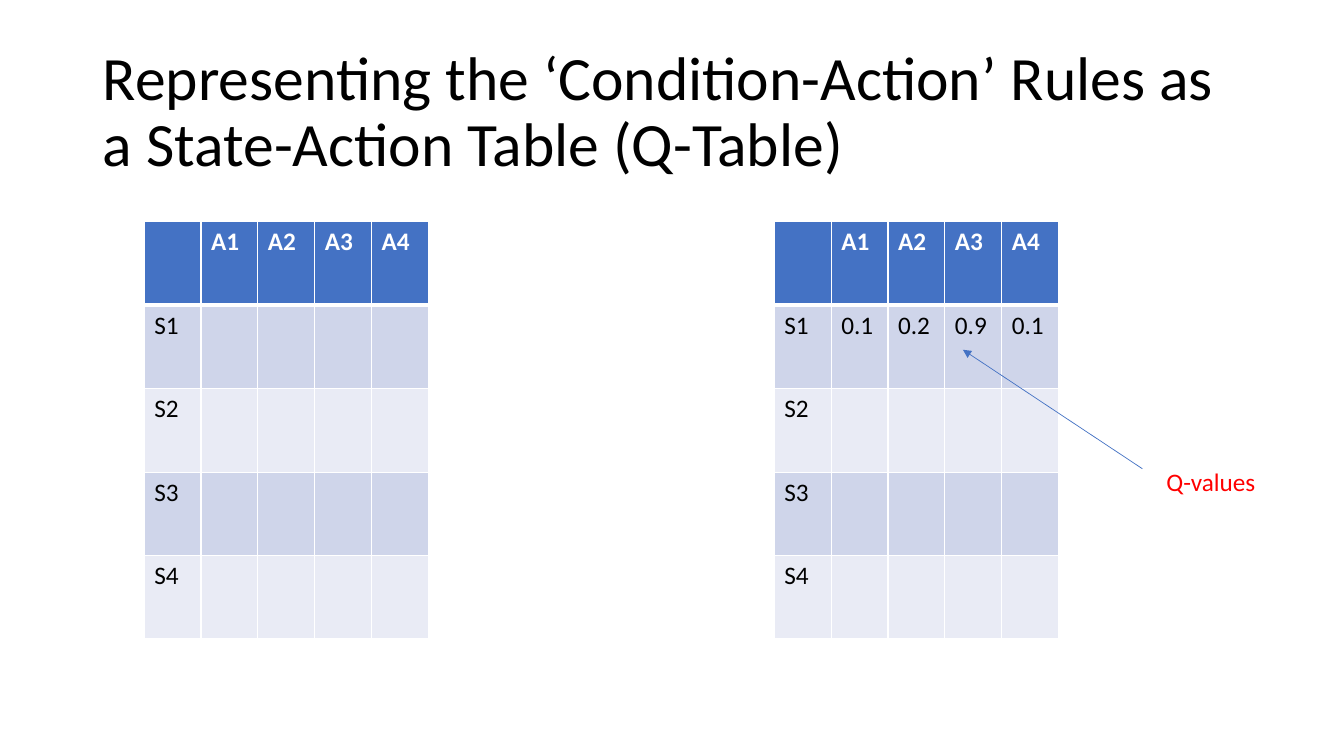
from dataclasses import dataclass

from lxml import etree
from pptx import Presentation
from pptx.dml.color import RGBColor
from pptx.enum.dml import MSO_THEME_COLOR
from pptx.enum.shapes import MSO_CONNECTOR
from pptx.enum.text import MSO_ANCHOR, MSO_AUTO_SIZE, PP_ALIGN
from pptx.oxml.ns import qn
from pptx.slide import Slide
from pptx.table import _Cell
from pptx.text.text import _Paragraph
from pptx.util import Inches, Pt

STRAIGHT = MSO_CONNECTOR.STRAIGHT
MIDDLE = MSO_ANCHOR.MIDDLE
LEFT = PP_ALIGN.LEFT
FIT_SHAPE = MSO_AUTO_SIZE.SHAPE_TO_FIT_TEXT
NO_AUTO_SIZE = MSO_AUTO_SIZE.NONE

BLACK = RGBColor(0x00, 0x00, 0x00)
WHITE = RGBColor(0xFF, 0xFF, 0xFF)
RED = RGBColor(0xFF, 0x00, 0x00)
BLUE = RGBColor(0x44, 0x72, 0xC4)
DARK_BAND = RGBColor(0xCF, 0xD5, 0xEA)
LIGHT_BAND = RGBColor(0xE9, 0xEB, 0xF5)

FONT = "Calibri"
ACTIONS = ("A1", "A2", "A3", "A4")
STATES = ("S1", "S2", "S3", "S4")
TABLE_TOP = 2.2
TABLE_WIDTH = 2.82
TABLE_HEIGHT = 4.14


@dataclass(frozen=True)
class QTable:
    left: float
    s1_values: tuple[str, ...]


Q_TABLES = (
    QTable(1.43, ("", "", "", "")),
    QTable(7.68, ("0.1", "0.2", "0.9", "0.1")),
)


def set_font(paragraph: _Paragraph, size: float, color: RGBColor, bold: bool = False) -> None:
    font = paragraph.font
    font.name = FONT
    font.size = Pt(size)
    font.bold = bold
    font.color.rgb = color


def set_borders(cell: _Cell, top: float, bottom: float) -> None:
    """Give the cell white borders, 1 pt at the sides."""
    properties = cell._tc.get_or_add_tcPr()
    for side, width in (("L", 1), ("R", 1), ("T", top), ("B", bottom)):
        border = etree.SubElement(properties, qn(f"a:ln{side}"), w=str(Pt(width)))
        fill = etree.SubElement(border, qn("a:solidFill"))
        etree.SubElement(fill, qn("a:srgbClr"), val=str(WHITE))


def add_q_table(slide: Slide, q_table: QTable) -> None:
    blank = ("",) * len(ACTIONS)
    rows = [("", *ACTIONS)]
    for state in STATES:
        rows.append((state, *(q_table.s1_values if state == "S1" else blank)))

    table = slide.shapes.add_table(
        len(rows), len(rows[0]), Inches(q_table.left), Inches(TABLE_TOP),
        Inches(TABLE_WIDTH), Inches(TABLE_HEIGHT),
    ).table
    for row, texts in enumerate(rows):
        is_header = row == 0
        band = BLUE if is_header else DARK_BAND if row % 2 else LIGHT_BAND
        for column, text in enumerate(texts):
            cell = table.cell(row, column)
            set_borders(cell, top=3 if row == 1 else 1, bottom=3 if is_header else 1)
            cell.fill.solid()
            cell.fill.fore_color.rgb = band
            cell.text = text
            set_font(cell.text_frame.paragraphs[0], 18,
                     WHITE if is_header else BLACK, bold=is_header)


def add_title(slide: Slide) -> None:
    title = slide.shapes.title
    title.left, title.top = Inches(0.92), Inches(0.4)
    title.width, title.height = Inches(11.5), Inches(1.45)
    frame = title.text_frame
    frame.text = "Representing the ‘Condition-Action’ Rules as a State-Action Table (Q-Table)"
    frame.vertical_anchor = MIDDLE
    frame.word_wrap = True
    frame.auto_size = NO_AUTO_SIZE
    heading = frame.paragraphs[0]
    heading.alignment = LEFT
    heading.line_spacing = 0.9
    set_font(heading, 44, BLACK)


def add_q_values_callout(slide: Slide) -> None:
    arrow = slide.shapes.add_connector(
        STRAIGHT, Inches(11.33), Inches(4.65), Inches(9.55), Inches(3.47))
    arrow.line.color.rgb = BLUE
    arrow.line.width = Pt(0.5)
    etree.SubElement(arrow.line._get_or_add_ln(), qn("a:tailEnd"), type="triangle")
    etree.SubElement(arrow._element.spPr, qn("a:effectLst"))

    label = slide.shapes.add_textbox(Inches(11.47), Inches(4.58), Inches(1.53), Inches(0.4))
    frame = label.text_frame
    frame.word_wrap = True
    frame.auto_size = FIT_SHAPE
    frame.text = "Q-values"
    set_font(frame.paragraphs[0], 18, RED)


def main() -> None:
    deck = Presentation()
    deck.slide_width, deck.slide_height = Inches(13.33), Inches(7.5)
    slide = deck.slides.add_slide(deck.slide_layouts.get_by_name("Title Only"))
    background = slide.background.fill
    background.solid()
    background.fore_color.theme_color = MSO_THEME_COLOR.BACKGROUND_1
    add_title(slide)
    for q_table in Q_TABLES:
        add_q_table(slide, q_table)
    add_q_values_callout(slide)
    deck.save("out.pptx")


if __name__ == "__main__":
    main()
